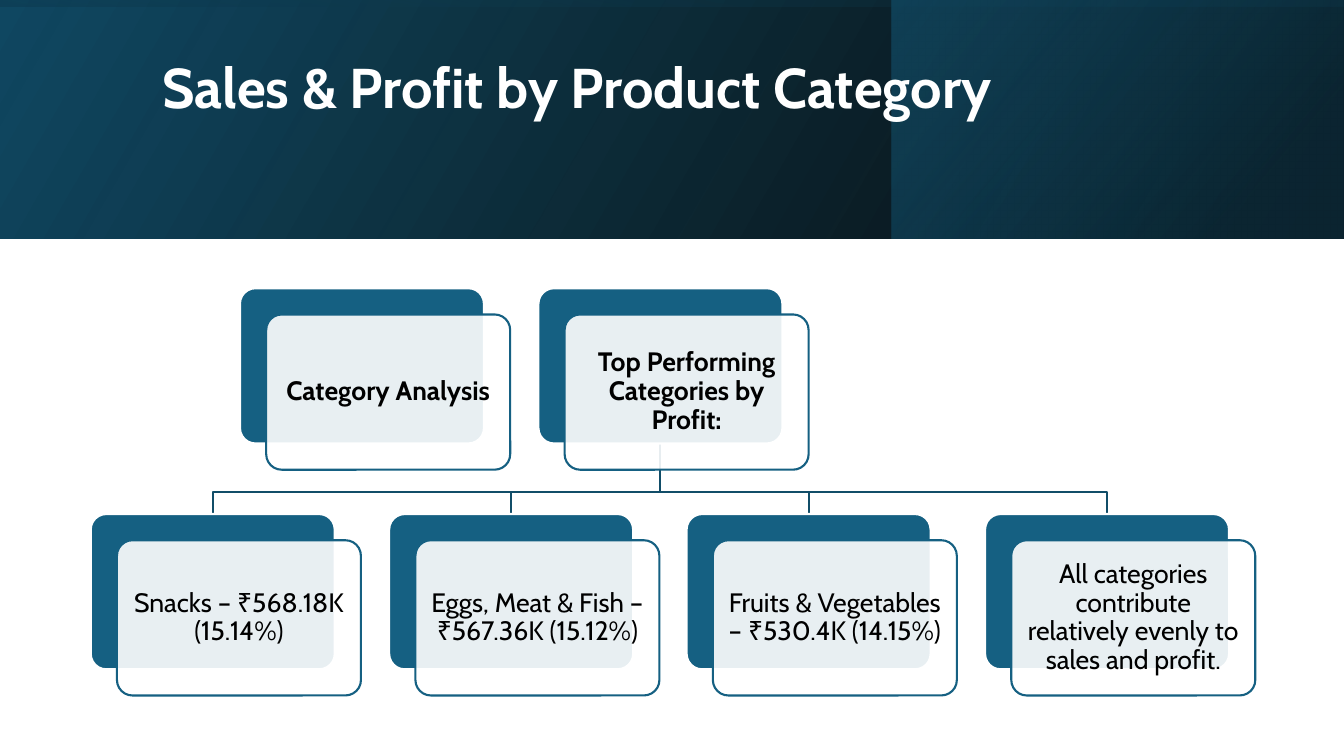
from lxml.etree import SubElement
from pptx import Presentation
from pptx.dml.color import RGBColor
from pptx.enum.shapes import MSO_SHAPE
from pptx.enum.text import MSO_ANCHOR, MSO_AUTO_SIZE, PP_ALIGN
from pptx.oxml import parse_xml
from pptx.oxml.ns import nsdecls, qn
from pptx.util import Pt

PX = 9144  # 100 px to the inch
FONT = "Cabin"
TEAL = "156082"
WIDE, HIGH = 242, 154
STEP = 26  # offset of a front card from its back card


def color(code):
    return RGBColor.from_string(code)


def write(shape, text, size, code, bold, align):
    """Fill the shape with one middle-anchored paragraph."""
    frame = shape.text_frame
    frame.word_wrap = True
    frame.auto_size = MSO_AUTO_SIZE.NONE
    frame.vertical_anchor = MSO_ANCHOR.MIDDLE
    para = frame.paragraphs[0]
    para.alignment = align
    para.line_spacing = 0.9
    run = para.add_run()
    run.text = text
    run.font.name = FONT
    run.font.size = Pt(size)
    run.font.bold = bold
    run.font.color.rgb = color(code)


deck = Presentation()
deck.slide_width, deck.slide_height = 1333 * PX, 750 * PX
slide = deck.slides.add_slide(deck.slide_layouts[5])
shapes = slide.shapes

# Banner: box, rotation, gradient angle, stops of (position, colour, opacity)
banner = [
    ((0, 0, 1333, 237), 0, 330, [(0, "000000", 96), (100, "104862", 100)]),
    ((884, 0, 448, 237), 0, 320, [(19, "0B3041", 68), (100, TEAL, 48)]),
    ((548, -548, 237, 1333), 270, 350, [(23, "104862", 16), (99, "000000", 45)]),
]
for box, turn, angle, stops in banner:
    panel = shapes.add_shape(MSO_SHAPE.RECTANGLE, *[n * PX for n in box])
    panel.rotation = turn
    panel.shadow.inherit = False
    panel.line.fill.background()
    props = panel.element.spPr
    props.find(qn("a:xfrm")).set("flipH", "1")
    marks = "".join(
        f'<a:gs pos="{at * 1000}"><a:srgbClr val="{code}">'
        f'<a:alpha val="{alpha * 1000}"/></a:srgbClr></a:gs>'
        for at, code, alpha in stops
    )
    props.find(qn("a:prstGeom")).addnext(parse_xml(
        f'<a:gradFill {nsdecls("a")} rotWithShape="1"><a:gsLst>{marks}</a:gsLst>'
        f'<a:lin ang="{angle * 60000}" scaled="0"/></a:gradFill>'
    ))

title = shapes.title
title.left, title.top, title.width, title.height = [
    n * PX for n in (151, 38, 1063, 172)
]
title.text_frame.margin_bottom = 73 * PX
write(title, "Sales & Profit by Product Category", 40, "FFFFFF", True, PP_ALIGN.LEFT)
title.element.getparent().append(title.element)  # in front of the banner

# Cards: text, column, top, bold
cards = [
    ("Category Analysis", 0.5, 286, True),
    ("Top Performing Categories by Profit:", 1.5, 286, True),
    ("Snacks – ₹568.18K (15.14%)", 0, 510, False),
    ("Eggs, Meat & Fish – ₹567.36K (15.12%)", 1, 510, False),
    ("Fruits & Vegetables – ₹530.4K (14.15%)", 2, 510, False),
    ("All categories contribute relatively evenly to sales and profit.", 3, 510, False),
]
lefts = [round(90 + 887 * col / 3) for _, col, _, _ in cards]

root = lefts[1] + WIDE // 2
for left in reversed(lefts[2:]):
    end = left + WIDE // 2
    path = shapes.build_freeform(root, 440, scale=PX)
    path.add_line_segments([(root, 488), (end, 488), (end, 510)], close=False)
    branch = path.convert_to_shape()
    branch.shadow.inherit = False
    branch.fill.background()
    branch.line.color.rgb = color("114D68")
    branch.line.width = Pt(1.5)

for (text, _, top, bold), left in zip(cards, lefts):
    for shift, fill, line in ((0, TEAL, "FFFFFF"), (STEP, "FFFFFF", TEAL)):
        card = shapes.add_shape(
            MSO_SHAPE.ROUNDED_RECTANGLE,
            (left + shift) * PX, (top + shift) * PX, WIDE * PX, HIGH * PX,
        )
        card.adjustments[0] = 0.1
        card.shadow.inherit = False
        card.fill.solid()
        card.fill.fore_color.rgb = color(fill)
        card.line.color.rgb = color(line)
        card.line.width = Pt(1.5)
    # The last card drawn is the front one
    tint = card.element.spPr.find(qn("a:solidFill")).find(qn("a:srgbClr"))
    SubElement(tint, qn("a:alpha")).set("val", "90000")
    frame = card.text_frame
    frame.margin_left = frame.margin_right = 8 * PX
    frame.margin_top = frame.margin_bottom = 8 * PX
    write(card, text, 19, "000000", bold, PP_ALIGN.CENTER)

deck.save("out.pptx")
